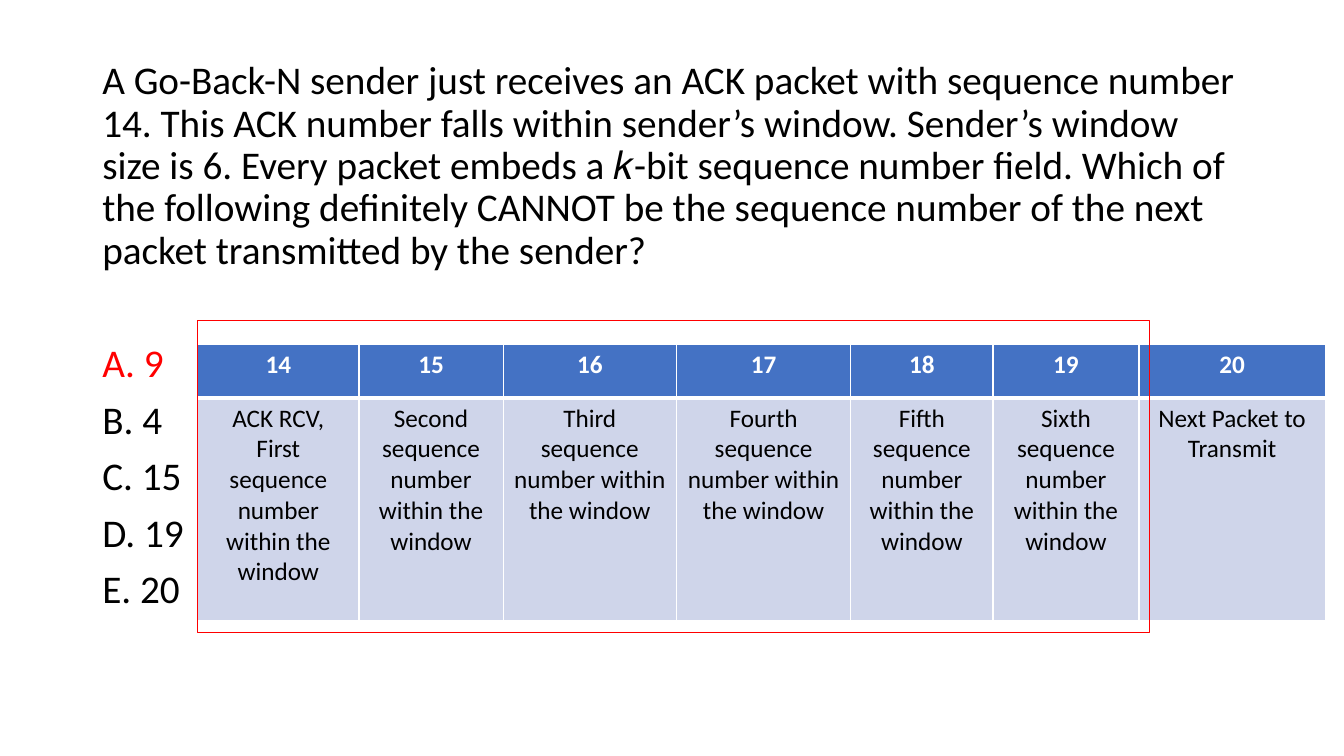
from lxml import etree
from pptx import Presentation
from pptx.dml.color import RGBColor
from pptx.enum.shapes import MSO_SHAPE
from pptx.enum.text import PP_ALIGN
from pptx.oxml.ns import qn
from pptx.util import Pt

RECTANGLE = MSO_SHAPE.RECTANGLE
CENTER = PP_ALIGN.CENTER

BLACK = RGBColor(0x00, 0x00, 0x00)
WHITE = RGBColor(0xFF, 0xFF, 0xFF)
RED = RGBColor(0xFF, 0x00, 0x00)
HEADER_BLUE = RGBColor(0x44, 0x72, 0xC4)
CELL_BLUE = RGBColor(0xCF, 0xD5, 0xEA)

QUESTION = (
    "A Go-Back-N sender just receives an ACK packet with sequence number 14. "
    "This ACK number falls within sender’s window. Sender’s window size is 6. "
    "Every packet embeds a 𝑘-bit sequence number field. Which of the following "
    "definitely CANNOT be the sequence number of the next packet transmitted "
    "by the sender?"
)
ANSWERS = ["A. 9", "B. 4", "C. 15", "D. 19", "E. 20"]
CORRECT = "A. 9"

WITHIN = "sequence number within the window"
ORDINALS = ["Second", "Third", "Fourth", "Fifth", "Sixth"]
NUMBERS = [str(number) for number in range(14, 21)]
MEANINGS = (
    [f"ACK RCV,\nFirst {WITHIN}"]
    + [f"{ordinal} {WITHIN}" for ordinal in ORDINALS]
    + ["Next Packet to Transmit"]
)


class SlideBuilder:
    font_name = "Calibri"
    body_size = Pt(28)
    table_size = Pt(18)

    def __init__(self, page):
        self.page = page

    def style(self, para, size, color, bold=False):
        para.font.name = self.font_name
        para.font.size = size
        para.font.bold = bold
        para.font.color.rgb = color

    def text(self, left, top, width, height, lines):
        """Each line is (wording, color, space before in points)."""
        box = self.page.shapes.add_textbox(Pt(left), Pt(top), Pt(width), Pt(height))
        frame = box.text_frame
        frame.word_wrap = True
        for index, (wording, color, gap) in enumerate(lines):
            para = frame.add_paragraph() if index else frame.paragraphs[0]
            para.text = wording
            para.line_spacing = 0.9
            para.space_before = Pt(gap)
            self.style(para, self.body_size, color)

    def border(self, cell, side, width):
        line = etree.Element(qn(f"a:ln{side}"), w=str(Pt(width)))
        fill = etree.SubElement(line, qn("a:solidFill"))
        etree.SubElement(fill, qn("a:srgbClr"), val=str(WHITE))
        return line

    def cell(self, cell, wording, fill, color, bold, widths):
        cell.fill.solid()
        cell.fill.fore_color.rgb = fill
        cell.text = wording
        for para in cell.text_frame.paragraphs:
            para.alignment = CENTER
            self.style(para, self.table_size, color, bold)
        properties = cell._tc.get_or_add_tcPr()
        for index, (side, width) in enumerate(zip("LRTB", widths)):
            properties.insert(index, self.border(cell, side, width))

    def table(self, left, top, columns, heights, rows):
        """Each row is (wordings, fill, color, bold, border widths L R T B)."""
        shape = self.page.shapes.add_table(
            len(rows), len(columns), Pt(left), Pt(top),
            Pt(sum(columns)), Pt(sum(heights)))
        table = shape.table
        for column, width in zip(table.columns, columns):
            column.width = Pt(width)
        for row, height, (wordings, *look) in zip(table.rows, heights, rows):
            row.height = Pt(height)
            for cell, wording in zip(row.cells, wordings):
                self.cell(cell, wording, *look)

    def outline(self, left, top, width, height, color):
        shape = self.page.shapes.add_shape(
            RECTANGLE, Pt(left), Pt(top), Pt(width), Pt(height))
        shape.shadow.inherit = False
        shape.fill.background()
        shape.line.color.rgb = color
        shape.line.width = Pt(1)


def main():
    deck = Presentation()
    deck.slide_width, deck.slide_height = Pt(960), Pt(540)
    builder = SlideBuilder(deck.slides.add_slide(deck.slide_layouts[6]))

    # Question and answers, with a wider gap before the first answer
    lines = [(QUESTION, BLACK, 0)]
    for index, answer in enumerate(ANSWERS):
        color = RED if answer == CORRECT else BLACK
        lines.append((answer, color, 10 if index else 51))
    builder.text(66, 40, 828, 436, lines)

    # Sequence numbers and their meaning
    builder.table(
        141.2, 245.8,
        columns=[115.2, 103, 123.8, 124.6, 101.5, 104.4, 133],
        heights=[38.5, 159],
        rows=[(NUMBERS, HEADER_BLUE, WHITE, True, (1, 1, 1, 3)),
              (MEANINGS, CELL_BLUE, BLACK, False, (1, 1, 3, 1))])

    # Sender's window
    builder.outline(141.2, 229, 680, 223, RED)

    deck.save("out.pptx")


if __name__ == "__main__":
    main()
